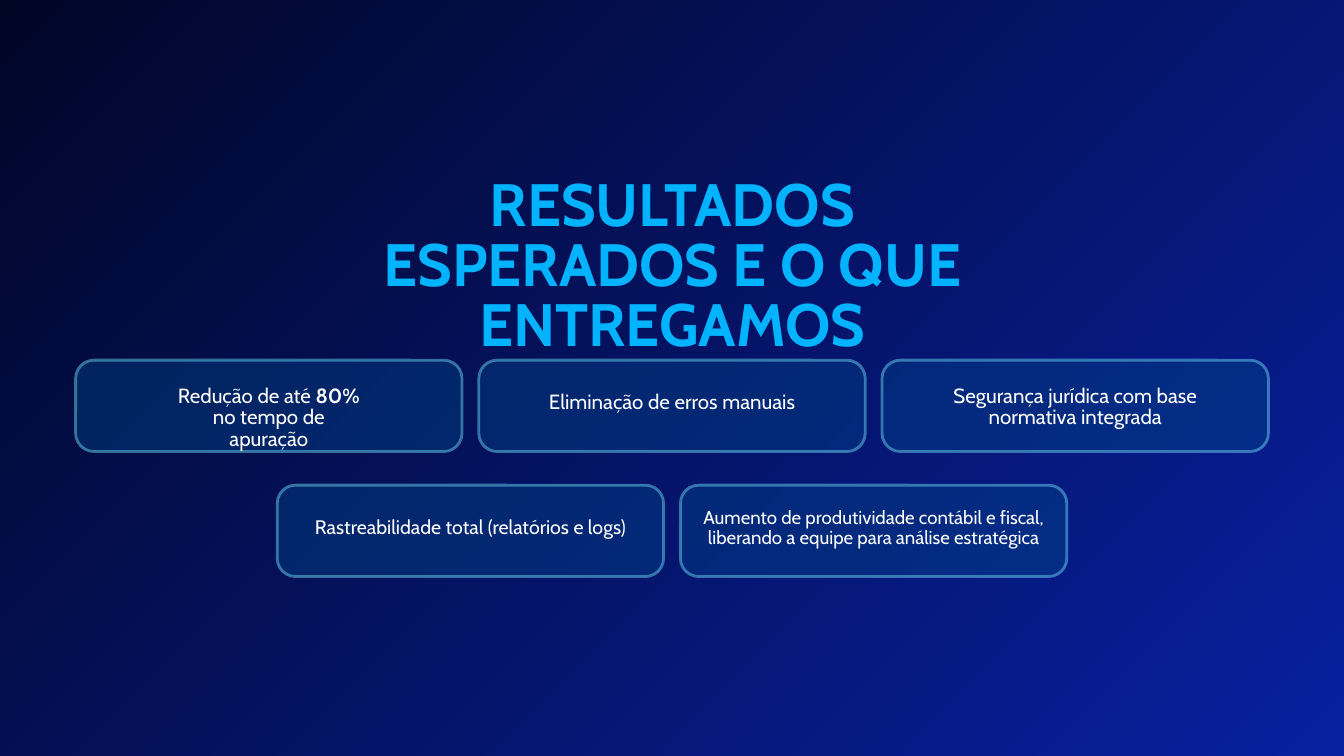
from lxml import etree
from pptx import Presentation
from pptx.dml.color import RGBColor
from pptx.enum import shapes, text
from pptx.oxml.ns import qn
from pptx.util import Inches, Pt

COLORS = {
    "bg_dark": "010627",
    "bg_blue": "0820A0",
    "title": "00B3FF",
    "card": "004487",
    "border": "77E8FF",
    "text": "FFFFFF",
}
FONT = "Cabin"
CARD_W, CARD_H, PITCH = 5.75, 1.36, 6


def write(sp, paragraphs, size, spacing, color, bold=False):
    """Fill a shape with centred paragraphs, each a list of (text, bold) runs."""
    tf = sp.text_frame
    tf.word_wrap = True
    tf.auto_size = text.MSO_AUTO_SIZE.NONE
    tf.vertical_anchor = text.MSO_ANCHOR.TOP
    tf.margin_left = tf.margin_right = tf.margin_top = tf.margin_bottom = 0
    for i, runs in enumerate(paragraphs):
        p = tf.paragraphs[0] if i == 0 else tf.add_paragraph()
        p.alignment = text.PP_ALIGN.CENTER
        p.line_spacing = Pt(spacing)
        p.space_before = Pt(0)
        p.font.name = FONT
        p.font.size = Pt(size)
        p.font.bold = bold
        p.font.color.rgb = RGBColor.from_string(COLORS[color])
        for words, strong in runs:
            r = p.add_run()
            r.text = words
            if strong:
                r.font.bold = True


def set_color(fill, color):
    """Give a fill a solid colour at 43 % opacity."""
    fill.solid()
    fill.fore_color.rgb = RGBColor.from_string(COLORS[color])
    clr = fill._xPr.find(qn("a:solidFill"))[0]
    etree.SubElement(clr, qn("a:alpha")).set("val", "43000")


prs = Presentation()
prs.slide_width, prs.slide_height = Inches(20), Inches(11.25)
s = prs.slides.add_slide(prs.slide_layouts[5])

# Background: radial gradient from the top left corner
fill = s.background.fill
fill.gradient()
for stop, position, color in zip(fill.gradient_stops, (0, 1), ("bg_dark", "bg_blue")):
    stop.position = position
    stop.color.rgb = RGBColor.from_string(COLORS[color])
lin = s._element.find(".//" + qn("a:lin"))
radial = etree.Element(qn("a:path"), path="circle")
etree.SubElement(radial, qn("a:fillToRect"), r="100000", b="100000")
lin.getparent().replace(lin, radial)

# Title
title = s.shapes.title
title.left, title.top = Inches(5.1), Inches(2.66)
title.width, title.height = Inches(9.81), Inches(1.96)
write(title, [[("RESULTADOS ESPERADOS E O QUE ENTREGAMOS", False)]], 64, 64, "title", True)

# Rows of cards: top, then (text top, text width, text height, size, paragraphs)
rows = [
    (5.36, [
        (5.74, 2.82, 0.69, 22, [[("Redução de até ", False), ("80%", True)],
                                [("no tempo de apuração", False)]]),
        (5.84, 4.47, 0.38, 22, [[("Eliminação de erros manuais", False)]]),
        (5.74, 4.45, 0.69, 22, [[("Segurança jurídica com base normativa integrada", False)]]),
    ]),
    (7.22, [
        (7.7, 5.33, 0.37, 21, [[("Rastreabilidade total (relatórios e logs)", False)]]),
        (7.57, 5.75, 0.64, 20, [[("Aumento de produtividade contábil e fiscal, "
                                  "liberando a equipe para análise estratégica", False)]]),
    ]),
]
for top, cards in rows:
    for i, (text_top, text_w, text_h, size, paragraphs) in enumerate(cards):
        center = 10 + (i - (len(cards) - 1) / 2) * PITCH
        card = s.shapes.add_shape(
            shapes.MSO_SHAPE.ROUNDED_RECTANGLE,
            Inches(center - CARD_W / 2), Inches(top), Inches(CARD_W), Inches(CARD_H))
        card.adjustments[0] = 0.2
        card.shadow.inherit = False
        set_color(card.fill, "card")
        set_color(card.line.fill, "border")
        card.line.width = Pt(3)

        box = s.shapes.add_textbox(
            Inches(center - text_w / 2), Inches(text_top), Inches(text_w), Inches(text_h))
        write(box, paragraphs, size, size * 1.05, "text")

prs.save("out.pptx")
